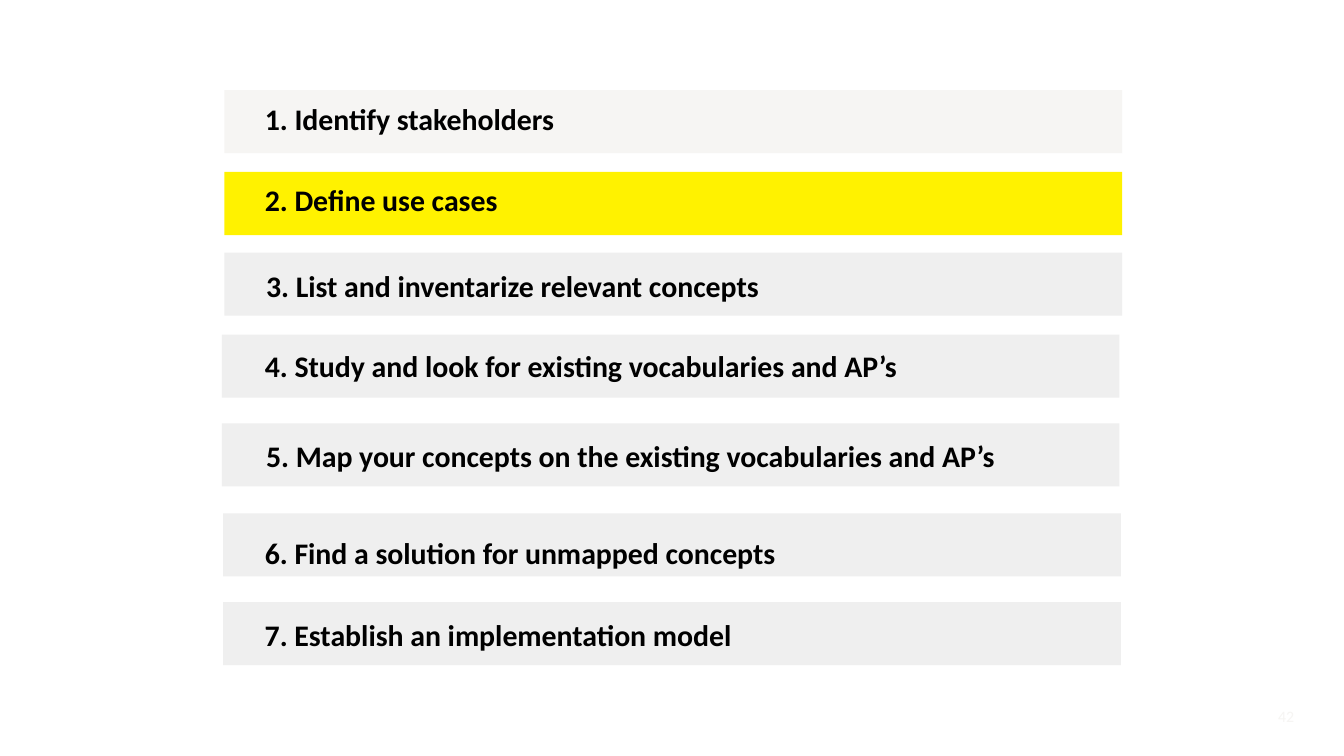
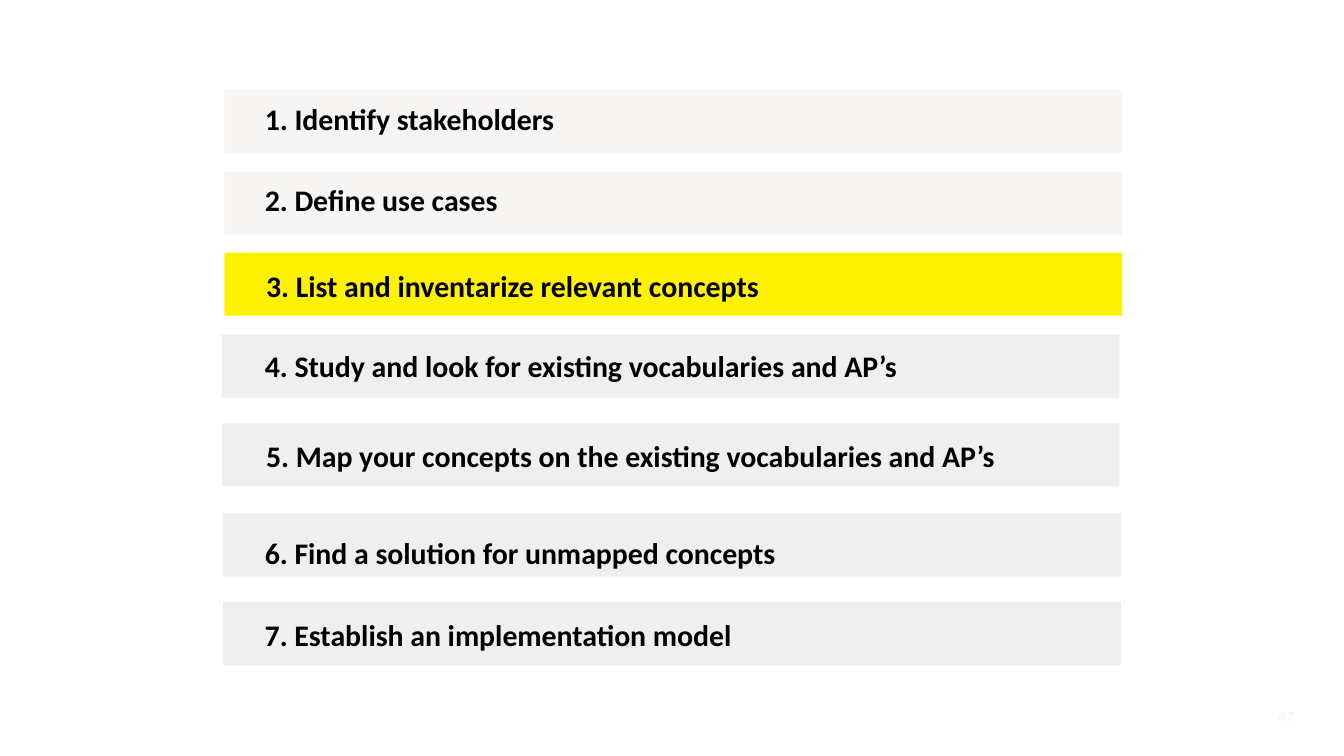
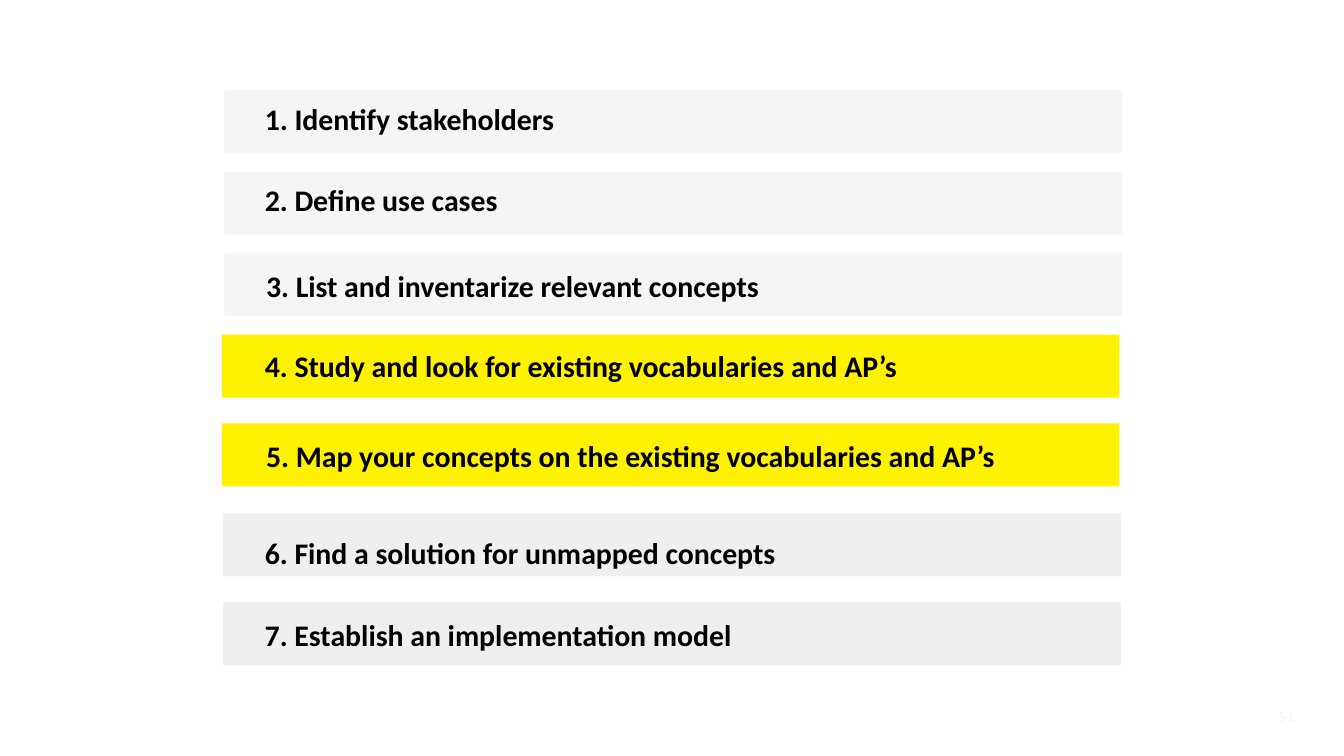
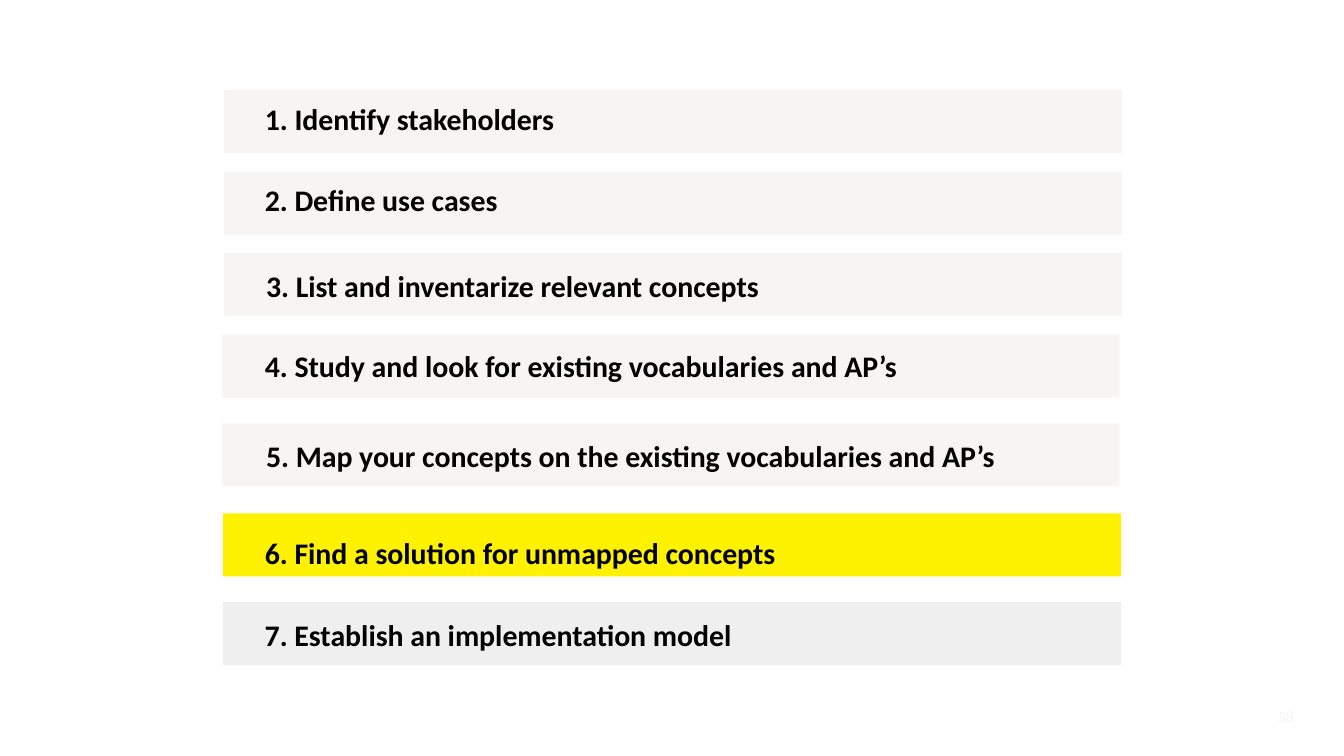
from dataclasses import dataclass

from pptx import Presentation
from pptx.dml.color import RGBColor as RGB
from pptx.enum.shapes import MSO_SHAPE as Shape
from pptx.enum.text import MSO_ANCHOR as Anchor, PP_ALIGN as Align
from pptx.util import Inches, Pt


@dataclass(frozen=True)
class Theme:
    font: str = "Calibri"
    ink: RGB = RGB(0, 0, 0)
    done: RGB = RGB(0xF6, 0xF5, 0xF3)
    now: RGB = RGB(0xFF, 0xF2, 0x00)
    later: RGB = RGB(0xEF, 0xEF, 0xEF)
    step_size: float = 16
    page_size: float = 8.5


BAR_W, BAR_H = 6.68, 0.47
WIDE, TALL = (6.38, 0.16), (6.07, 0.27)

# Label, bar left and top, text left and top, text box size
STEPS = [
    ("1. Identify stakeholders", 1.67, 0.67, 1.97, 0.75, WIDE),
    ("2. Define use cases", 1.67, 1.28, 1.97, 1.35, WIDE),
    ("3. List and inventarize relevant concepts",
     1.67, 1.88, 1.98, 1.99, TALL),
    ("4. Study and look for existing vocabularies and AP’s",
     1.65, 2.49, 1.97, 2.59, WIDE),
    ("5. Map your concepts on the existing vocabularies and AP’s",
     1.65, 3.15, 1.98, 3.26, TALL),
    ("6. Find a solution for unmapped concepts",
     1.66, 3.82, 1.97, 3.98, WIDE),
    ("7. Establish an implementation model",
     1.66, 4.48, 1.97, 4.59, TALL),
]

# Page number and the steps in progress
PAGES = [(42, {2}), (47, {3}), (51, {4, 5}), (58, {6})]


class Deck:
    def __init__(self, theme):
        self.theme = theme
        self.prs = Presentation()
        self.prs.slide_width = Inches(10)
        self.prs.slide_height = Inches(10 * 9 / 16)
        self.slide = None

    def start(self):
        blank = self.prs.slide_layouts[6]
        self.slide = self.prs.slides.add_slide(blank)

    def bar(self, group, left, top, color):
        bar = group.shapes.add_shape(
            Shape.RECTANGLE, Inches(left), Inches(top),
            Inches(BAR_W), Inches(BAR_H))
        bar.shadow.inherit = False
        bar.fill.solid()
        bar.fill.fore_color.rgb = color
        bar.line.fill.background()

    def text(self, home, words, left, top, width, height, size, color,
             bold=False, align=Align.LEFT):
        box = home.shapes.add_textbox(
            Inches(left), Inches(top), Inches(width), Inches(height))
        frame = box.text_frame
        frame.word_wrap = True
        frame.vertical_anchor = Anchor.TOP
        frame.margin_left = frame.margin_right = 0
        frame.margin_top = frame.margin_bottom = 0
        para = frame.paragraphs[0]
        para.text = words
        para.alignment = align
        font = para.font
        font.name, font.size, font.bold = self.theme.font, Pt(size), bold
        font.color.rgb = color

    def steps(self, active):
        """Draw all steps, with the active ones lit and earlier ones pale."""
        look = self.theme
        group = self.slide.shapes.add_group_shape()
        for num, (label, left, top, text_x, text_y, area) in enumerate(
                STEPS, 1):
            if num in active:
                color = look.now
            else:
                color = look.done if num < min(active) else look.later
            self.bar(group, left, top, color)
            self.text(group, label, text_x, text_y, *area,
                      look.step_size, look.ink, bold=True)

    def page(self, num):
        self.text(self.slide, str(num), 9.13, 5.26, 0.5, 0.15,
                  self.theme.page_size, self.theme.done, align=Align.RIGHT)


def main():
    deck = Deck(Theme())
    for num, active in PAGES:
        deck.start()
        deck.steps(active)
        deck.page(num)
    deck.prs.save("out.pptx")


if __name__ == "__main__":
    main()
